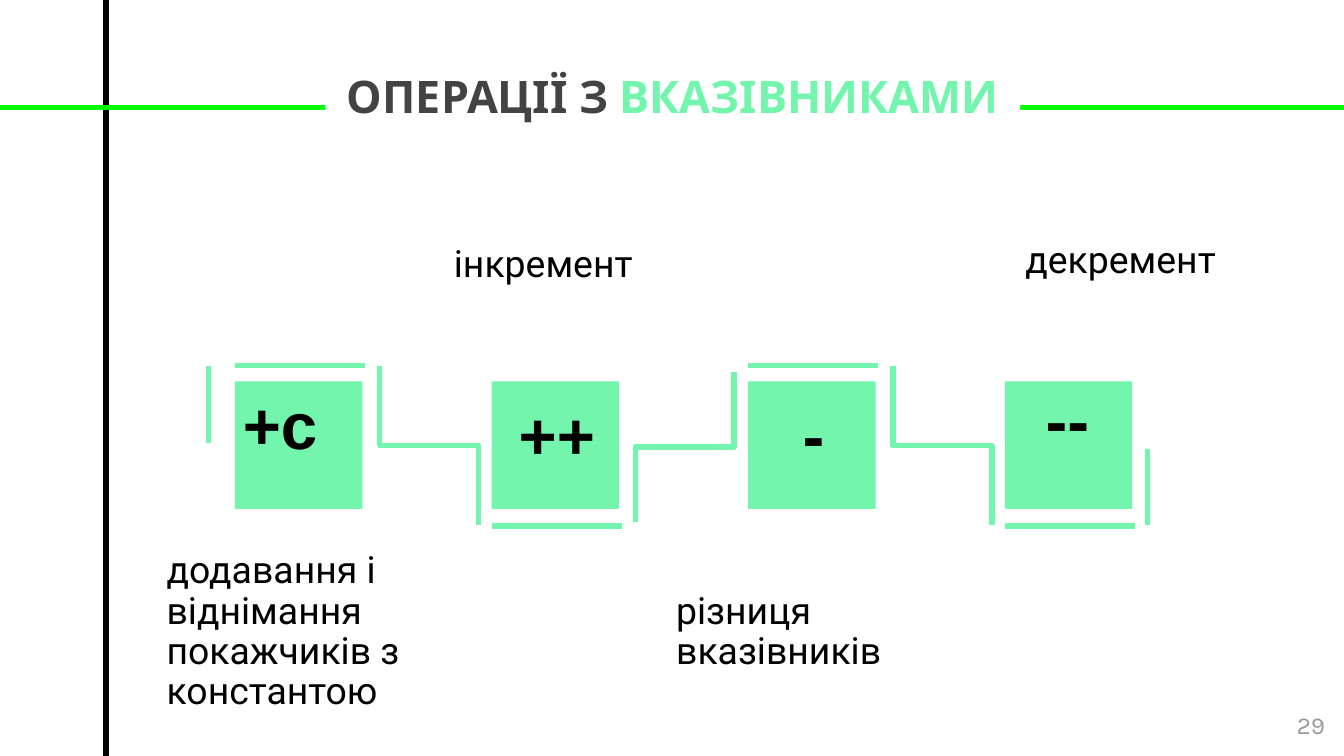
import pptx
import pptx.util
import pptx.dml.color
import pptx.enum.shapes
import pptx.enum.text
import pptx.oxml
import pptx.oxml.ns
from pptx.util import Cm

MINT = "73F5AD"
LEFT, CENTER, RIGHT = (pptx.enum.text.PP_ALIGN.LEFT, pptx.enum.text.PP_ALIGN.CENTER,
                       pptx.enum.text.PP_ALIGN.RIGHT)
TOP, MIDDLE = pptx.enum.text.MSO_ANCHOR.TOP, pptx.enum.text.MSO_ANCHOR.MIDDLE
STRAIGHT = pptx.enum.shapes.MSO_CONNECTOR.STRAIGHT
ELBOW = pptx.enum.shapes.MSO_CONNECTOR.ELBOW


def color(hex_string):
    return pptx.dml.color.RGBColor.from_string(hex_string)


presentation = pptx.Presentation()
presentation.slide_width = Cm(25.4)
presentation.slide_height = Cm(14.29)
slide = presentation.slides.add_slide(presentation.slide_layouts[5])
shapes = slide.shapes

# Lines: kind, start x, start y, end x, end y, colour, rotation in degrees
lines = [
    (STRAIGHT, 2.01, -0.05, 2.01, 14.35, "000000", 0),
    (STRAIGHT, 25.98, 2.03, -0.13, 2.03, "00FF00", 0),
    (STRAIGHT, 3.94, 8.38, 3.94, 6.91, MINT, 0),
    (STRAIGHT, 21.69, 9.93, 21.69, 8.48, MINT, 0),
]

# A bar above or below each square
square_lefts = [4.44 + 4.85 * index for index in range(4)]
for index, left in enumerate(square_lefts):
    bar_y = 9.94 if index % 2 else 6.91
    lines.append((STRAIGHT, left, bar_y, left + 2.46, bar_y, MINT, 0))

# Elbows between squares, turned so that they leave vertically
for center_x, center_y, length, depth, rotation in [
    (8.11, 8.42, 3.02, 1.87, 270),
    (12.94, 8.45, 2.82, 1.86, 90),
    (17.81, 8.42, 3.02, 1.87, 270),
]:
    half = length / 2 if rotation == 90 else -length / 2
    lines.append((ELBOW, center_x - half, center_y - depth / 2,
                  center_x + half, center_y + depth / 2, MINT, rotation))

for kind, start_x, start_y, end_x, end_y, line_color, rotation in lines:
    connector = shapes.add_connector(kind, Cm(start_x), Cm(start_y), Cm(end_x), Cm(end_y))
    connector.line.color.rgb = color(line_color)
    connector.line.width = pptx.util.Pt(3)
    properties = connector.element.spPr
    pptx.oxml.ns.qn("a:effectLst")
    properties.append(pptx.oxml.parse_xml(
        '<a:effectLst xmlns:a="http://schemas.openxmlformats.org/drawingml/2006/main"/>'))
    if rotation:
        properties.find(pptx.oxml.ns.qn("a:xfrm")).set("rot", str(rotation * 60000))

# White gap behind the title, then the four squares
rectangles = [(6.15, 0.23, 13.13, 2.87, "FFFFFF")]
rectangles += [(left, 7.21, 2.41, 2.41, MINT) for left in square_lefts]
for left, top, width, height, fill_color in rectangles:
    shape = shapes.add_shape(pptx.enum.shapes.MSO_SHAPE.RECTANGLE,
                             Cm(left), Cm(top), Cm(width), Cm(height))
    shape.shadow.inherit = False
    shape.fill.solid()
    shape.fill.fore_color.rgb = color(fill_color)
    shape.line.fill.background()

# Title, brought in front of the white gap
title = shapes.title
shapes.element.append(title.element)
title.left, title.top, title.width, title.height = Cm(2.01), Cm(1.04), Cm(21.41), Cm(1.93)
title.text_frame.auto_size = pptx.enum.text.MSO_AUTO_SIZE.NONE
title.text_frame.vertical_anchor = TOP
title.text_frame.margin_top = title.text_frame.margin_bottom = Cm(0.25)
paragraph = title.text_frame.paragraphs[0]
paragraph.alignment = CENTER
for text, text_color in [("ОПЕРАЦІЇ З ", "434343"), ("ВКАЗІВНИКАМИ", MINT)]:
    run = paragraph.add_run()
    run.text = text
    run.font.name = "Karla"
    run.font.size = pptx.util.Pt(24)
    run.font.bold = True
    run.font.color.rgb = color(text_color)

# Text styles: font, size, bold, colour, alignment, anchor, side and top margins, spacing
caption = ("Roboto", 20, False, "000000", LEFT, MIDDLE, 0.66, 0, 0.9)
sign = ("Arial", 35, True, "000000", CENTER, TOP, 0.25, 0.25, 1)
first_sign = sign[:4] + (LEFT,) + sign[5:]
page_number = ("Karla", 13, False, "999999", RIGHT, TOP, 0.25, 0.25, 1)

# Captions, operator signs and page number
for text, left, top, width, height, style in [
    ("додавання і віднімання покажчиків з константою", 2.49, 9.93, 6.55, 4.04, caption),
    ("інкремент", 7.92, 3.51, 5.94, 3, caption),
    ("декремент", 18.72, 3.45, 5.94, 3, caption),
    ("різниця вказівників", 12.12, 9.93, 6.55, 4.04, caption),
    ("+с", 4.34, 7.01, 2.41, 2.82, first_sign),
    ("++", 9.32, 7.21, 2.41, 2.82, sign),
    ("-", 14.17, 7.21, 2.41, 2.82, sign),
    ("--", 18.97, 6.91, 2.41, 2.82, sign),
    ("29", 23.77, 13.18, 1.52, 1.09, page_number),
]:
    font, size, bold, text_color, alignment, anchor, side, edge, spacing = style
    text_frame = shapes.add_textbox(Cm(left), Cm(top), Cm(width), Cm(height)).text_frame
    text_frame.word_wrap = True
    text_frame.vertical_anchor = anchor
    text_frame.margin_left = text_frame.margin_right = Cm(side)
    text_frame.margin_top = text_frame.margin_bottom = Cm(edge)
    text_frame.text = text
    paragraph = text_frame.paragraphs[0]
    paragraph.alignment = alignment
    paragraph.line_spacing = spacing
    run = paragraph.runs[0]
    run.font.name = font
    run.font.size = pptx.util.Pt(size)
    run.font.bold = bold
    run.font.color.rgb = color(text_color)

presentation.save("out.pptx")
